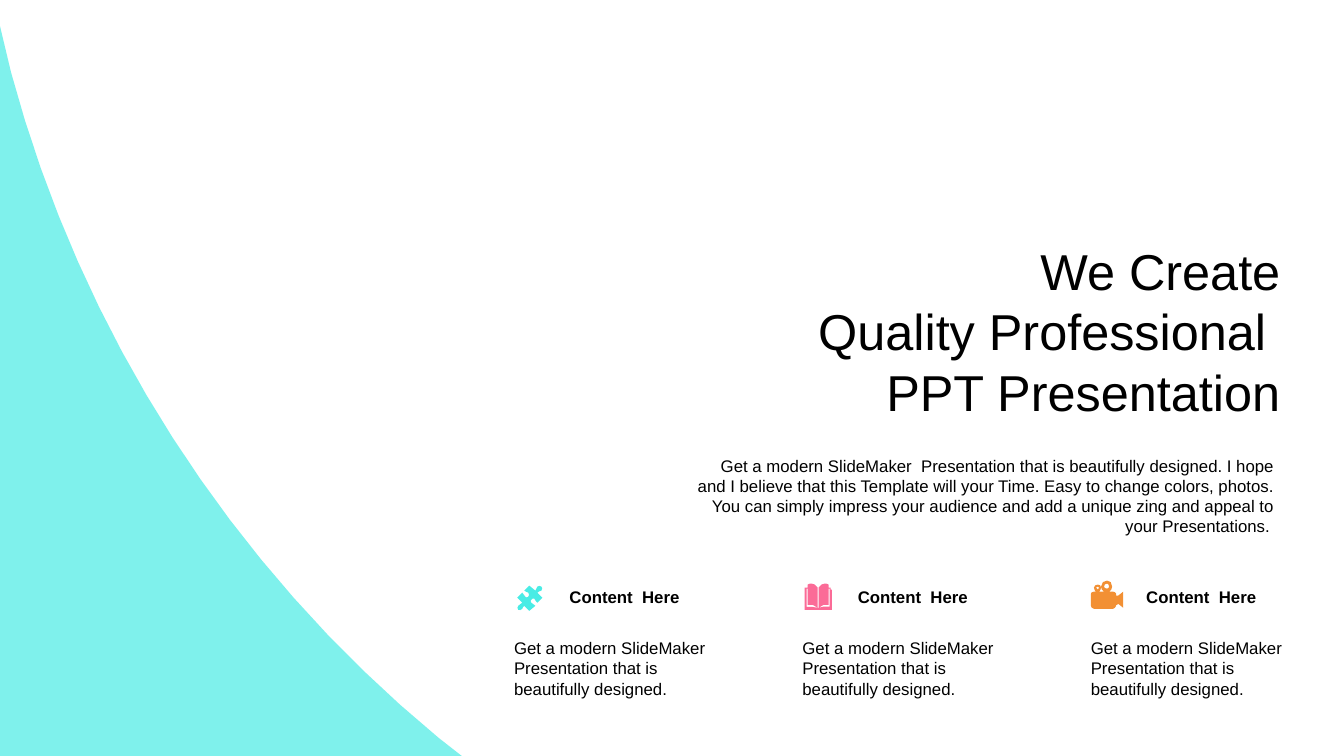
"""Build a closing slide with a curved side panel, a headline and three icon columns."""
from dataclasses import dataclass

from lxml import etree
from pptx import Presentation
from pptx.dml.color import RGBColor
from pptx.enum import shapes, text
from pptx.oxml.ns import qn
from pptx.util import Inches, Pt


@dataclass(frozen=True)
class Theme:
    font: str = "Arial"
    ink: str = "000000"
    paper: str = "FFFFFF"
    aqua: str = "49ECE5"
    pink: str = "FB6B97"
    orange: str = "F29034"
    title_size: int = 36
    body_size: int = 12
    panel_alpha: int = 70


THEME = Theme()

TITLE = ["We Create", "Quality Professional ", "PPT Presentation"]
INTRO = ("Get a modern SlideMaker  Presentation that is beautifully designed. "
         "I hope and I believe that this Template will your Time. Easy to change "
         "colors, photos. You can simply impress your audience and add a unique "
         "zing and appeal to your Presentations. ")
HEADING = "Content  Here"
DETAIL = "Get a modern SlideMaker  Presentation that is beautifully designed."

PANEL = "M 0 26 L 11 72 C 80 329 228 561 435 732 L 458 750 L 0 750 Z"
PUZZLE = """M 37 16 C 38 17 38 18 37 20 C 36 21 34 20 33 22 L 38 27 L 33 32
    C 31 31 32 30 30 28 C 29 27 28 28 27 29 C 26 29 26 31 27 32
    C 29 34 29 33 31 35 L 25 40 L 20 35 C 18 36 19 37 18 38
    C 17 40 15 39 14 39 C 13 38 13 36 14 35 C 15 33 17 34 18 32
    L 13 27 L 18 22 C 20 23 19 25 21 26 C 22 27 23 27 24 26
    C 25 25 25 23 24 22 C 23 21 22 22 20 20 L 25 15 L 31 20
    C 33 18 31 18 33 16 C 34 15 36 15 37 16 Z"""
BOOK = """M 25 37 L 26 37 C 30 36 33 35 37 36 L 37 18 L 36 18 L 36 34
    C 33 33 29 34 26 37 L 26 17 C 28 14 30 13 32 13
    C 33 13 35 13 36 14 L 36 17 L 38 17 L 38 19 L 39 19 L 39 39
    L 12 39 L 12 17 L 15 17 L 15 14 C 16 13 18 13 19 13
    C 21 13 23 14 25 17 L 25 37 C 22 34 18 33 15 34 L 15 18
    L 14 18 L 14 36 C 18 36 21 36 25 37 Z"""
CAMERA = """M 17 16 L 15 17 L 17 19 L 18 17 Z
    M 26 13 C 24 13 23 14 23 16 C 23 17 24 18 26 18
    C 27 18 28 17 28 16 C 28 14 27 13 26 13 Z
    M 26 10 C 29 10 31 12 31 16 C 31 18 30 20 28 21 L 32 21
    C 33 21 35 22 35 23 L 35 25 L 37 25 L 42 21 L 42 37 L 37 33
    L 36 34 L 35 34 L 35 35 C 35 36 33 38 32 38 L 13 38
    C 11 38 10 36 10 35 L 10 23 C 10 22 11 21 13 21 L 15 21
    C 14 20 13 19 13 17 C 13 15 15 14 17 14 C 19 14 20 15 20 17
    C 20 19 19 20 18 21 L 23 21 C 21 20 20 18 20 16
    C 20 12 23 10 26 10 Z"""
COLUMNS = [(PUZZLE, THEME.aqua), (BOOK, THEME.pink), (CAMERA, THEME.orange)]

COLUMN_LEFT, COLUMN_STEP, COLUMN_TOP = 5, 2.86, 5.66
PANEL_STEPS, ICON_STEPS = 16, 2


def trace(outline, steps):
    """Turn a path in hundredths of an inch into lists of corner points."""
    contours, tokens = [], iter(outline.split())
    for command in tokens:
        if command == "Z":
            continue
        count = 3 if command == "C" else 1
        points = [(int(next(tokens)), int(next(tokens))) for _ in range(count)]
        if command == "M":
            contours.append(points)
        elif command == "L":
            contours[-1] += points
        else:
            ends = list(zip(contours[-1][-1], *points))
            for i in range(1, steps + 1):
                t = i / steps
                s = 1 - t
                contours[-1].append(tuple(
                    s**3 * a + 3 * s * s * t * b + 3 * s * t * t * c + t**3 * d
                    for a, b, c, d in ends))
    return contours


def paint(sp, color):
    sp.shadow.inherit = False
    sp.fill.solid()
    sp.fill.fore_color.rgb = RGBColor.from_string(color)
    sp.line.fill.background()


def add_outline(slide, outline, color, steps, left=0, top=0):
    contours = [[(Inches(left + x / 100), Inches(top + y / 100)) for x, y in c]
                for c in trace(outline, steps)]
    builder = slide.shapes.build_freeform(*contours[0][0], scale=1.0)
    builder.add_line_segments(contours[0][1:], close=True)
    for contour in contours[1:]:
        builder.move_to(*contour[0])
        builder.add_line_segments(contour[1:], close=True)
    sp = builder.convert_to_shape()
    paint(sp, color)
    return sp


def write(sp, lines, size, align=text.PP_ALIGN.LEFT, bold=False):
    tf = sp.text_frame
    tf.word_wrap = True
    tf.auto_size = text.MSO_AUTO_SIZE.SHAPE_TO_FIT_TEXT
    for i, line in enumerate(lines):
        p = tf.add_paragraph() if i else tf.paragraphs[0]
        p.alignment = align
        r = p.add_run()
        r.text = line
        r.font.name, r.font.size, r.font.bold = THEME.font, Pt(size), bold
        r.font.color.rgb = RGBColor.from_string(THEME.ink)


def add_text(slide, box, line, **style):
    sp = slide.shapes.add_textbox(*map(Inches, box))
    write(sp, [line], THEME.body_size, **style)


def add_title(slide):
    sp = slide.shapes.title
    sp.left, sp.top, sp.width, sp.height = map(Inches, (6.82, 2.37, 5.92, 1.82))
    tf = sp.text_frame
    tf.vertical_anchor = text.MSO_ANCHOR.MIDDLE
    tf.margin_left = tf.margin_right = Inches(0.04)
    tf.margin_top = tf.margin_bottom = 0
    write(sp, TITLE, THEME.title_size, text.PP_ALIGN.RIGHT)


def add_column(slide, left, icon, color):
    disc = slide.shapes.add_shape(
        shapes.MSO_SHAPE.OVAL, *map(Inches, (left, COLUMN_TOP, 0.51, 0.51)))
    paint(disc, THEME.paper)
    add_text(slide, (left + 0.55, COLUMN_TOP + 0.11, 1.46, 0.3), HEADING, bold=True)
    add_text(slide, (left, COLUMN_TOP + 0.62, 2.21, 0.71), DETAIL)
    add_outline(slide, icon, color, ICON_STEPS, left, COLUMN_TOP)


def main():
    prs = Presentation()
    prs.slide_width, prs.slide_height = Inches(13.33), Inches(7.5)
    slide = prs.slides.add_slide(prs.slide_layouts.get_by_name("Title Only"))
    panel = add_outline(slide, PANEL, THEME.aqua, PANEL_STEPS)
    tint = panel.element.spPr.find(qn("a:solidFill"))[0]
    etree.SubElement(tint, qn("a:alpha"), val=str(THEME.panel_alpha * 1000))
    add_title(slide)
    add_text(slide, (6.82, 4.47, 5.92, 0.91), INTRO, align=text.PP_ALIGN.RIGHT)
    for i, (icon, color) in enumerate(COLUMNS):
        add_column(slide, COLUMN_LEFT + i * COLUMN_STEP, icon, color)
    prs.save("out.pptx")


if __name__ == "__main__":
    main()
